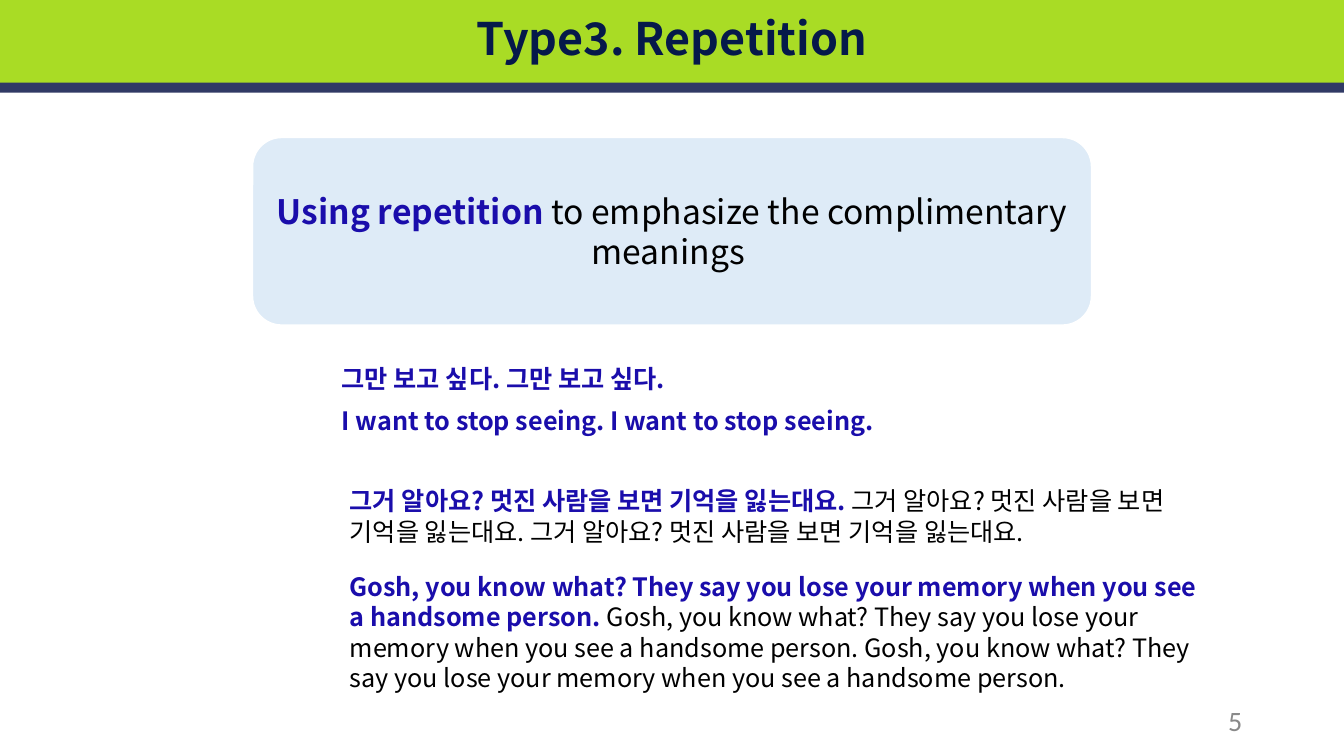
from dataclasses import dataclass

from lxml.etree import SubElement
from pptx import Presentation
from pptx.dml.color import RGBColor
from pptx.enum.shapes import MSO_SHAPE
from pptx.enum.text import MSO_ANCHOR, PP_ALIGN
from pptx.oxml.ns import qn
from pptx.util import Inches, Pt


@dataclass(frozen=True)
class Theme:
    lime: str = "A9DC25"
    navy: str = "303A65"
    title: str = "05194A"
    accent: str = "1A0DAB"
    body: str = "000000"
    muted: str = "898989"
    panel: str = "DEEBF7"
    white: str = "FFFFFF"
    title_size: int = 32
    panel_size: int = 24
    number_size: int = 20
    body_size: int = 18
    font: str = "Noto Sans CJK KR"
    number_font: str = "Calibri"


THEME = Theme()
KOREAN_MEMORY = "그거 알아요? 멋진 사람을 보면 기억을 잃는대요."
ENGLISH_MEMORY = (
    "Gosh, you know what? They say you lose your memory "
    "when you see a handsome person."
)


def apply_format(target, values):
    for attribute, value in values.items():
        setattr(target, attribute, value)


def write_text(frame, runs, size, font=THEME.font, align=PP_ALIGN.LEFT,
               anchor=MSO_ANCHOR.TOP, inset=0.05):
    apply_format(frame, {
        "word_wrap": True,
        "vertical_anchor": anchor,
        "margin_left": Inches(0.1),
        "margin_right": Inches(0.1),
        "margin_top": Inches(inset),
        "margin_bottom": Inches(inset),
    })
    paragraph = frame.paragraphs[0]
    paragraph.alignment = align
    for wording, color, bold in runs:
        run = paragraph.add_run()
        run.text = wording
        apply_format(run.font, {"size": Pt(size), "bold": bold, "name": font})
        run.font.color.rgb = RGBColor.from_string(color)
        east_asian = SubElement(run.font._element, qn("a:ea"))
        east_asian.set("typeface", font)


def add_text(slide, box, runs, size, **layout):
    label = slide.shapes.add_textbox(*map(Inches, box))
    write_text(label.text_frame, runs, size, **layout)


def add_block(slide, kind, box, fill):
    block = slide.shapes.add_shape(kind, *map(Inches, box))
    block.shadow.inherit = False
    block.fill.solid()
    block.fill.fore_color.rgb = RGBColor.from_string(fill)
    block.line.fill.background()
    return block


def add_header(slide):
    add_block(slide, MSO_SHAPE.RECTANGLE, (0, 0, 13.33, 0.85), THEME.lime)
    add_block(slide, MSO_SHAPE.RECTANGLE, (0, 0.82, 13.33, 0.1), THEME.navy)
    add_text(slide, (0, 0.06, 13.33, 0.64),
             [("Type3. Repetition", THEME.title, True)],
             THEME.title_size, align=PP_ALIGN.CENTER)


def add_definition(slide):
    definition = add_block(slide, MSO_SHAPE.ROUNDED_RECTANGLE,
                           (2.47, 1.33, 8.39, 1.93), THEME.panel)
    definition.adjustments[0] = 0.167
    definition.line.color.rgb = RGBColor.from_string(THEME.white)
    definition.line.width = Pt(6)
    write_text(definition.text_frame,
               [("Using repetition", THEME.accent, True),
                (" to emphasize the complimentary meanings ", THEME.body, False)],
               THEME.panel_size, align=PP_ALIGN.CENTER,
               anchor=MSO_ANCHOR.MIDDLE, inset=0.1)


def repeated(sentence):
    return [(f"{sentence} ", THEME.accent, True),
            (f"{sentence} {sentence}", THEME.body, False)]


def add_examples(slide):
    examples = [
        ((3.29, 3.56, 4.92, 0.4),
         [("그만 보고 싶다. 그만 보고 싶다.", THEME.accent, True)]),
        ((3.29, 3.97, 7.09, 0.4),
         [("I want to stop seeing. I want to stop seeing.", THEME.accent, True)]),
        ((3.37, 4.77, 8.39, 0.71), repeated(KOREAN_MEMORY)),
        ((3.37, 5.62, 8.79, 1.62), repeated(ENGLISH_MEMORY)),
    ]
    for box, runs in examples:
        add_text(slide, box, runs, THEME.body_size)


def main():
    presentation = Presentation()
    presentation.slide_width = Inches(13.33)
    presentation.slide_height = Inches(7.5)
    slide = presentation.slides.add_slide(presentation.slide_layouts[6])
    add_header(slide)
    add_text(slide, (9.42, 6.95, 3, 0.4), [("5", THEME.muted, False)],
             THEME.number_size, font=THEME.number_font,
             align=PP_ALIGN.RIGHT, anchor=MSO_ANCHOR.MIDDLE)
    add_examples(slide)
    add_definition(slide)
    presentation.save("out.pptx")


if __name__ == "__main__":
    main()
